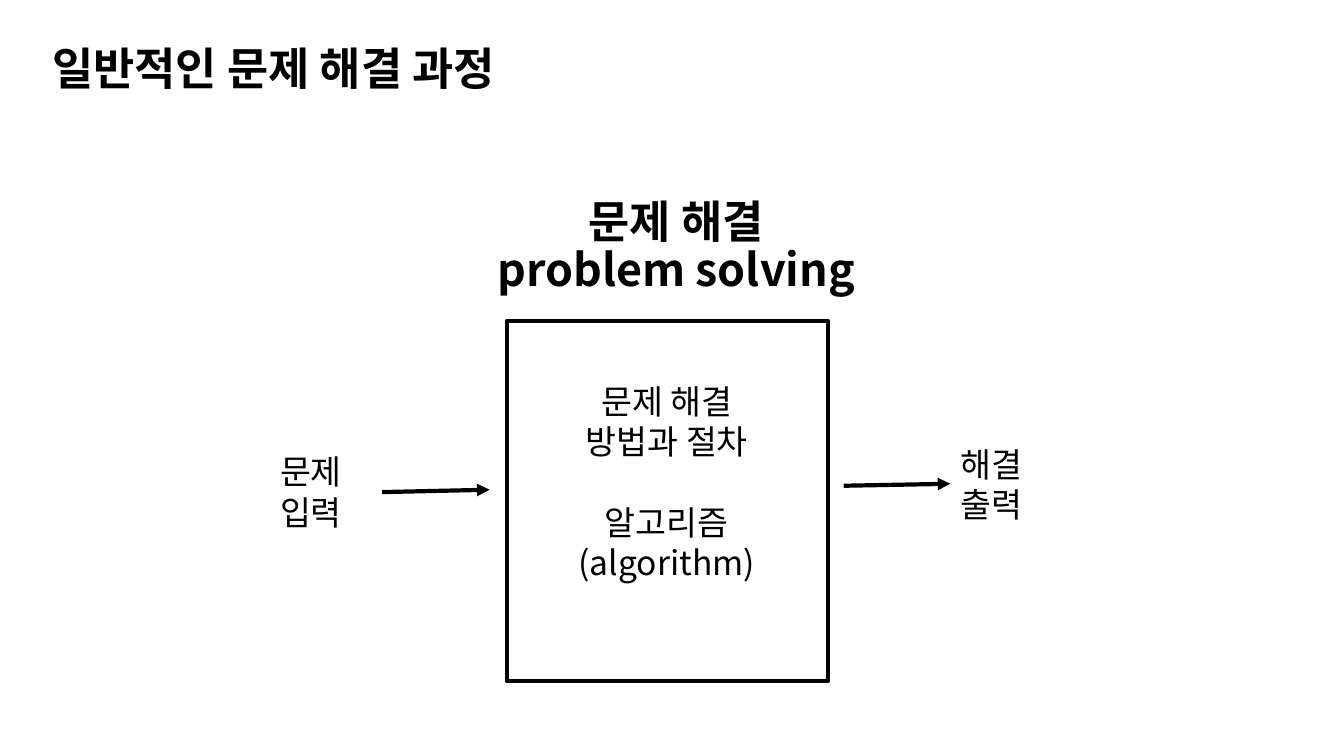
from lxml import etree
from pptx import Presentation
from pptx.dml.color import RGBColor
from pptx.enum.shapes import MSO_CONNECTOR, MSO_SHAPE
from pptx.enum.text import MSO_ANCHOR, PP_ALIGN
from pptx.oxml.ns import qn
from pptx.util import Cm, Pt

STRAIGHT = MSO_CONNECTOR.STRAIGHT
RECTANGLE = MSO_SHAPE.RECTANGLE
LEFT, CENTER = PP_ALIGN.LEFT, PP_ALIGN.CENTER
TOP, MIDDLE = MSO_ANCHOR.TOP, MSO_ANCHOR.MIDDLE

COLORS = {"ink": "000000"}
HEADING_FONT = "Noto Sans CJK TC"
BODY_FONT = "Noto Sans CJK KR"
HEADING_SIZE, BODY_SIZE = 32, 24
LINE_WIDTH = 3


class ProcessSlide:
    """Draws the elements of a process diagram in one style."""

    def __init__(self, slide):
        self.slide = slide
        self.ink = RGBColor.from_string(COLORS["ink"])

    def text(self, left, top, width, height, lines, heading=False,
             align=LEFT, gaps=None):
        """Write one paragraph per line; gaps maps a line index to points before it."""
        shape = self.slide.shapes.add_textbox(Cm(left), Cm(top), Cm(width), Cm(height))
        frame = shape.text_frame
        frame.word_wrap = True
        frame.vertical_anchor = MIDDLE if heading else TOP
        frame.text = "\n".join(lines)
        for index, paragraph in enumerate(frame.paragraphs):
            paragraph.alignment = align
            if heading:
                paragraph.line_spacing = 0.9
            if gaps and index in gaps:
                paragraph.space_before = Pt(gaps[index])
            self.style(paragraph, heading)

    def style(self, paragraph, heading):
        font_name = HEADING_FONT if heading else BODY_FONT
        font = paragraph.font
        font.name = font_name
        font.size = Pt(HEADING_SIZE if heading else BODY_SIZE)
        font.bold = heading
        font.color.rgb = self.ink
        # Hangul takes the East Asian typeface
        properties = paragraph._p.pPr.find(qn("a:defRPr"))
        etree.SubElement(properties, qn("a:ea"), typeface=font_name)

    def frame(self, left, top, width, height):
        shape = self.slide.shapes.add_shape(
            RECTANGLE, Cm(left), Cm(top), Cm(width), Cm(height))
        shape.shadow.inherit = False
        shape.fill.background()
        shape.line.color.rgb = self.ink
        shape.line.width = Pt(LINE_WIDTH)

    def arrow(self, start_x, start_y, end_x, end_y):
        connector = self.slide.shapes.add_connector(
            STRAIGHT, Cm(start_x), Cm(start_y), Cm(end_x), Cm(end_y))
        connector.line.color.rgb = self.ink
        connector.line.width = Pt(LINE_WIDTH)
        etree.SubElement(connector.line._get_or_add_ln(), qn("a:tailEnd"), type="triangle")
        etree.SubElement(connector._element.spPr, qn("a:effectLst"))


def main():
    presentation = Presentation()
    presentation.slide_width = Cm(33.87)
    presentation.slide_height = Cm(19.05)
    process = ProcessSlide(presentation.slides.add_slide(presentation.slide_layouts[6]))

    # Headings
    process.text(1.07, 0.86, 23.2, 1.88, ["일반적인 문제 해결 과정"], heading=True)
    process.text(5.31, 4.55, 23.47, 3.4, ["문제 해결\vproblem solving"],
                 heading=True, align=CENTER)

    # Problem-solving box
    process.frame(12.78, 8.08, 8.08, 9.09)
    process.text(13.77, 9.47, 6.07, 5.38,
                 ["문제 해결", "방법과 절차", "알고리즘", "(algorithm)"],
                 align=CENTER, gaps={2: 29})

    # Input and output
    process.text(6.81, 11.25, 2.39, 2.31, ["문제", "입력"])
    process.arrow(9.63, 12.4, 12.34, 12.34)
    process.arrow(21.26, 12.24, 23.95, 12.19)
    process.text(23.95, 11.05, 2.39, 2.31, ["해결", "출력"])

    presentation.save("out.pptx")


if __name__ == "__main__":
    main()
